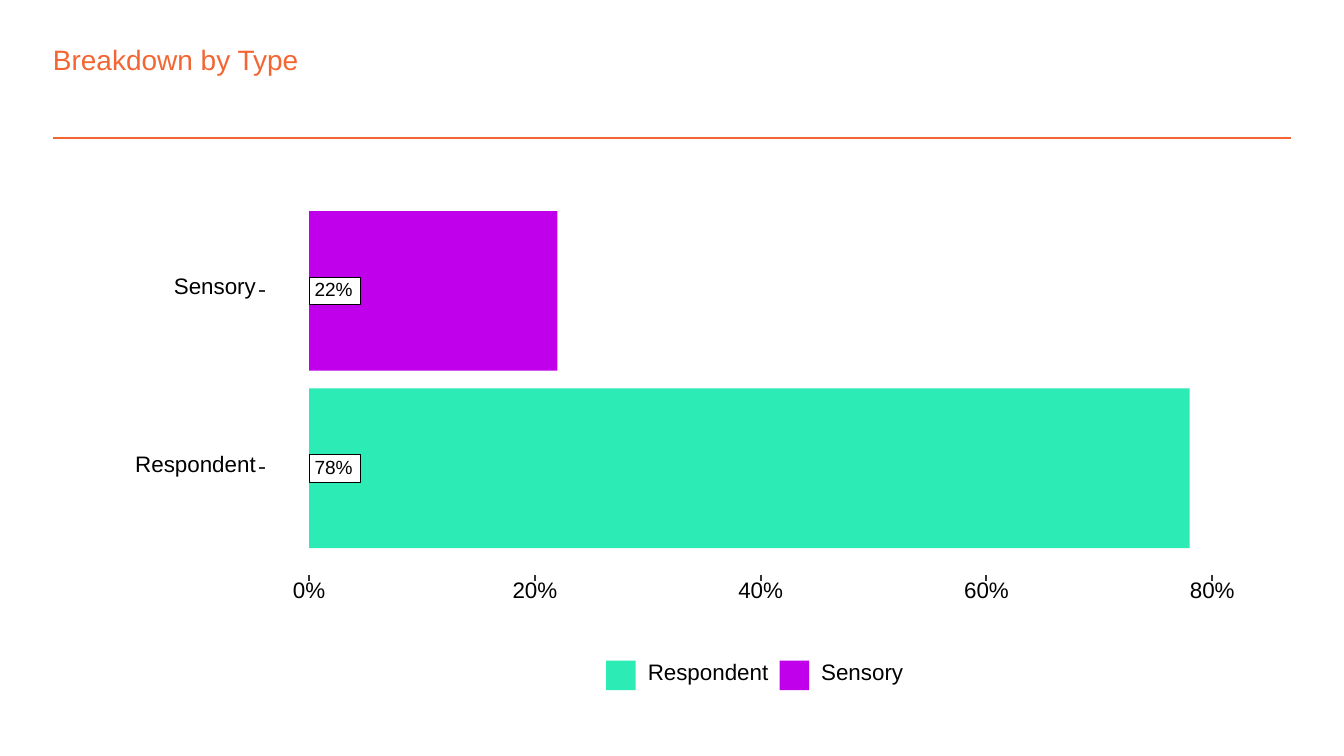
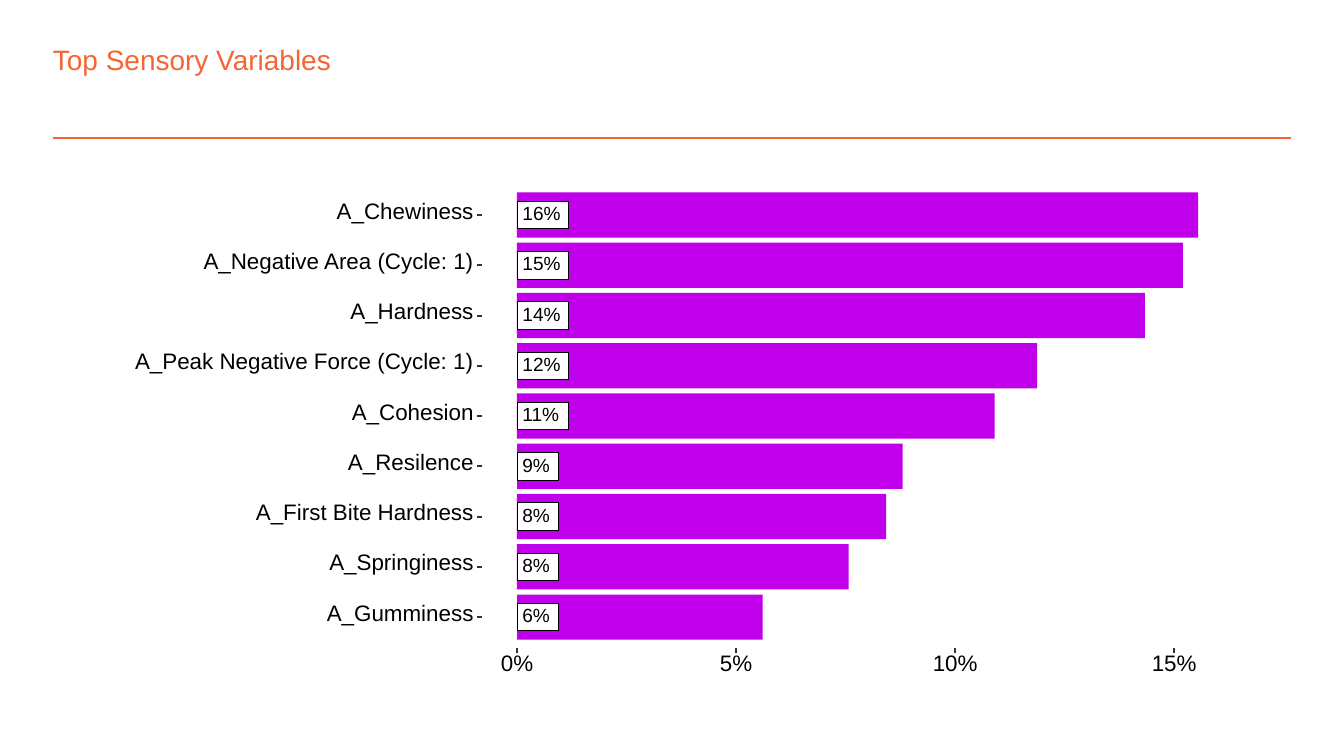
from lxml.etree import SubElement
from pptx import Presentation
from pptx.dml.color import RGBColor
from pptx.enum.shapes import MSO_CONNECTOR as Connector, MSO_SHAPE as Shape
from pptx.enum.text import MSO_ANCHOR as Anchor, PP_ALIGN as Align
from pptx.oxml.ns import qn
from pptx.util import Inches, Pt

FONT = "Arial"
ORANGE, BLACK, GREY, WHITE = "F36633", "000000", "333333", "FFFFFF"
TEAL, PURPLE = "2DEBB5", "C000EB"
hex_color = RGBColor.from_string

deck = Presentation()
deck.slide_width = Inches(10)
deck.slide_height = Inches(5.625)
CELL = deck.slide_width / 100
MARGIN, RULE_ROW = 3.94, 10.28
BAR_SHARE = 0.9
TICK = 0.4
SWATCH = 2.2

breakdown = {
    "title": "Breakdown by Type",
    "bars": [("Sensory", 6.5, 22, PURPLE), ("Respondent", 9.3, 78, TEAL)],
    "origin": 23, "first_row": 21.65, "pitch": 13.2, "label_gap": 3.95,
    "scale": 0.84, "marks": range(0, 81, 20), "axis_row": 42.8,
    "legend": [("Respondent", 9.3, 45.1, TEAL), ("Sensory", 6.5, 58, PURPLE)],
}
sensory = {
    "title": "Top Sensory Variables",
    "bars": [
        ("A_Chewiness", 10.6, 15.55, PURPLE),
        ("A_Negative Area (Cycle: 1)", 20.6, 15.2, PURPLE),
        ("A_Hardness", 9.6, 14.33, PURPLE),
        ("A_Peak Negative Force (Cycle: 1)", 25.6, 11.87, PURPLE),
        ("A_Cohesion", 9.5, 10.9, PURPLE),
        ("A_Resilence", 9.8, 8.8, PURPLE),
        ("A_First Bite Hardness", 16.7, 8.43, PURPLE),
        ("A_Springiness", 11.1, 7.57, PURPLE),
        ("A_Gumminess", 11.3, 5.61, PURPLE),
    ],
    "origin": 38.47, "first_row": 16, "pitch": 3.74, "label_gap": 3.22,
    "scale": 3.26, "marks": range(0, 16, 5), "axis_row": 48.2,
    "legend": [],
}


def draw_box(slide, left, middle, width, height, fill, border=None, weight=0.53):
    box = slide.shapes.add_shape(
        Shape.RECTANGLE, round(left * CELL), round((middle - height / 2) * CELL),
        round(width * CELL), round(height * CELL))
    box.shadow.inherit = False
    box.fill.solid()
    box.fill.fore_color.rgb = hex_color(fill)
    if border:
        box.line.color.rgb = hex_color(border)
        box.line.width = Pt(weight)
    else:
        box.line.fill.background()


def write(slide, text, left, middle, width, height, size=12, color=BLACK, align=Align.LEFT):
    label = slide.shapes.add_textbox(
        round(left * CELL), round((middle - height / 2) * CELL),
        round(width * CELL), round(height * CELL))
    frame = label.text_frame
    frame.margin_left = frame.margin_right = frame.margin_top = frame.margin_bottom = 0
    frame.word_wrap = False
    frame.vertical_anchor = Anchor.MIDDLE
    frame.text = text
    paragraph = frame.paragraphs[0]
    paragraph.alignment = align
    paragraph.line_spacing = Pt(size)
    font = paragraph.runs[0].font
    font.name, font.size = FONT, Pt(size)
    font.color.rgb = hex_color(color)


for content in (breakdown, sensory):
    slide = deck.slides.add_slide(deck.slide_layouts[6])
    origin, axis_row = content["origin"], content["axis_row"]
    label_end = origin - content["label_gap"]
    write(slide, content["title"], MARGIN, 4.6, 82.9, 2.5, 15, ORANGE)
    draw_box(slide, 7.5, 33, 85, 40, WHITE, WHITE, 1.07)
    lines = [(MARGIN, RULE_ROW, 100 - MARGIN, RULE_ROW, ORANGE, 1)]

    for index, (name, name_width, share, color) in enumerate(content["bars"]):
        middle = content["first_row"] + index * content["pitch"]
        percent = f"{share:.0f}%"
        percent_width = 0.7 * len(percent) + 1
        draw_box(slide, origin, middle, share * content["scale"],
                 content["pitch"] * BAR_SHARE, color)
        draw_box(slide, origin, middle, percent_width + 0.7, 2.05, WHITE, BLACK)
        write(slide, percent, origin + 0.4, middle, percent_width, 1.1, 10.2)
        write(slide, name, label_end - name_width, middle - 0.2, name_width, 1.5,
              align=Align.RIGHT)
        tick_start = label_end + 0.25
        lines.append((tick_start, middle, tick_start + TICK, middle, GREY, 1.07))

    for mark in content["marks"]:
        column = origin + mark * content["scale"]
        lines.append((column, axis_row, column, axis_row + TICK, GREY, 1.07))
        write(slide, f"{mark}%", column - 1.9, axis_row + 1.25, 3.8, 1.3, align=Align.CENTER)

    if content["legend"]:
        draw_box(slide, 43.5, 50.25, 24.5, 3.9, WHITE, WHITE, 1.07)
    for name, name_width, column, color in content["legend"]:
        draw_box(slide, column, 50.25, SWATCH, SWATCH, color)
        write(slide, name, column + 3.1, 50.1, name_width, 1.5)

    for x1, y1, x2, y2, color, weight in lines:
        line = slide.shapes.add_connector(
            Connector.STRAIGHT, *(round(end * CELL) for end in (x1, y1, x2, y2)))
        line.line.color.rgb = hex_color(color)
        line.line.width = Pt(weight)
        SubElement(line._element.spPr, qn("a:effectLst"))

deck.save("out.pptx")
